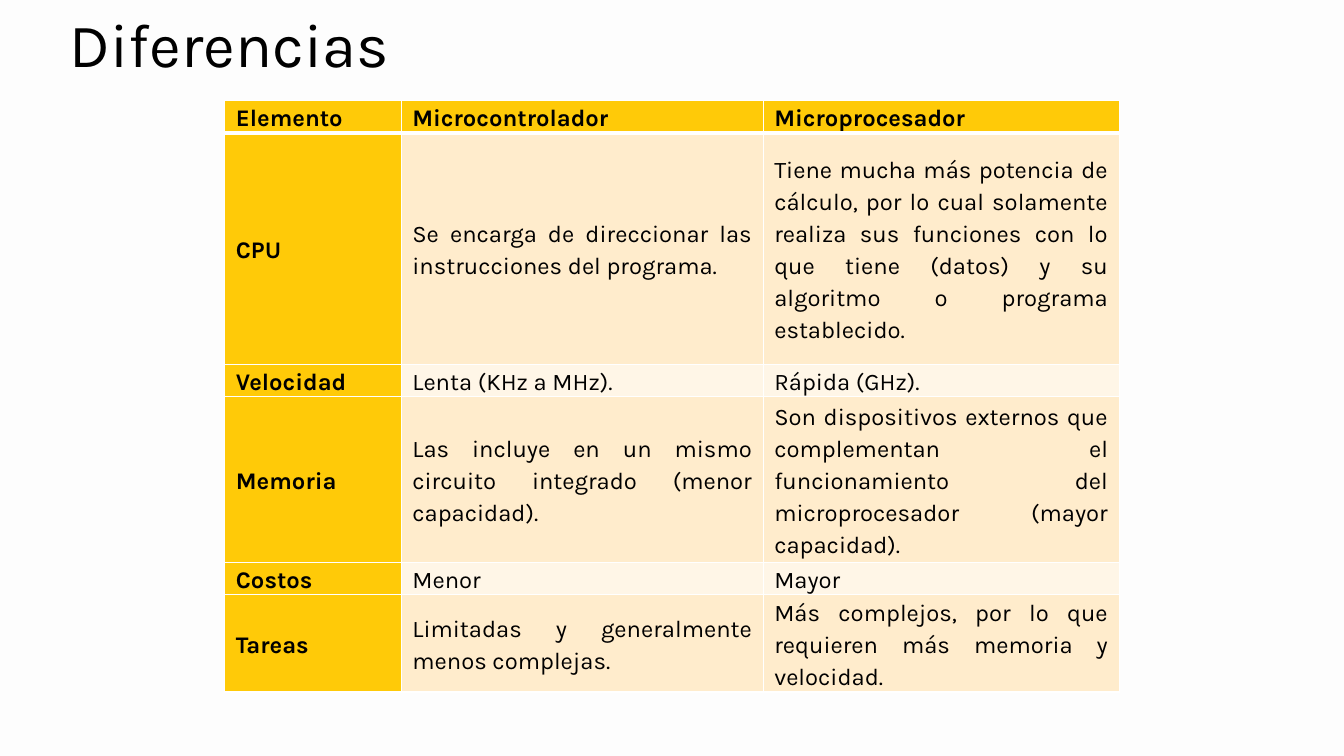
from lxml import etree
from pptx import Presentation
from pptx.dml.color import RGBColor
from pptx.enum.text import MSO_ANCHOR as ANCHOR, PP_ALIGN as ALIGN
from pptx.oxml.ns import qn
from pptx.util import Emu, Pt

PX = 9144  # 100 px to the inch
FONT = "Karla"
BLACK, WHITE, PAGE = "000000", "FFFFFF", "FDFDFD"
GOLD, BAND_DARK, BAND_LIGHT = "FFCA08", "FFECCC", "FFF6E7"

COLS = [175, 359, 353]
ROWS = [
    (30, "Elemento", "Microcontrolador", "Microprocesador"),
    (230, "CPU",
     "Se encarga de direccionar las instrucciones del programa.",
     "Tiene mucha más potencia de cálculo, por lo cual solamente realiza sus "
     "funciones con lo que tiene (datos) y su algoritmo o programa establecido."),
    (30, "Velocidad", "Lenta (KHz a MHz).", "Rápida (GHz)."),
    (164, "Memoria",
     "Las incluye en un mismo circuito integrado (menor capacidad).",
     "Son dispositivos externos que complementan el funcionamiento del "
     "microprocesador (mayor capacidad)."),
    (30, "Costos", "Menor", "Mayor"),
    (97, "Tareas", "Limitadas y generalmente menos complejas.",
     "Más complejos, por lo que requieren más memoria y velocidad."),
]


def px(n):
    return Emu(n * PX)


def rgb(color):
    return RGBColor.from_string(color)


def add_text(tf, text, size, bold=False, align=ALIGN.LEFT, spacing=1.0):
    p = tf.paragraphs[0]
    p.alignment, p.line_spacing = align, spacing
    r = p.add_run()
    r.text = text
    r.font.name, r.font.size, r.font.bold = FONT, Pt(size), bold
    r.font.color.rgb = rgb(BLACK)


def add_borders(cell, bottom):
    tc_pr = cell._tc.get_or_add_tcPr()
    for side, width in (("L", 1), ("R", 1), ("T", 1), ("B", bottom)):
        ln = etree.SubElement(tc_pr, qn(f"a:ln{side}"), w=str(Pt(width)))
        fill = etree.SubElement(ln, qn("a:solidFill"))
        etree.SubElement(fill, qn("a:srgbClr"), val=WHITE)


def add_title(s, x, y, w, h, text):
    sp = s.shapes.title
    sp.left, sp.top, sp.width, sp.height = px(x), px(y), px(w), px(h)
    tf = sp.text_frame
    tf.word_wrap = True
    tf.vertical_anchor = ANCHOR.MIDDLE
    add_text(tf, text, 44, spacing=0.9)


def add_comparison(s, x, y):
    width, height = sum(COLS), sum(row[0] for row in ROWS)
    table = s.shapes.add_table(len(ROWS), len(COLS), px(x), px(y),
                               px(width), px(height)).table
    for col, w in zip(table.columns, COLS):
        col.width = px(w)
    for i, (h, *texts) in enumerate(ROWS):
        table.rows[i].height = px(h)
        band = BAND_DARK if i % 2 else BAND_LIGHT
        for j, text in enumerate(texts):
            heading = i == 0 or j == 0
            cell = table.cell(i, j)
            cell.margin_left = cell.margin_right = px(11)
            cell.margin_top = cell.margin_bottom = 0
            cell.vertical_anchor = ANCHOR.MIDDLE
            # Borders come before the fill in the cell properties
            add_borders(cell, 3 if i == 0 else 1)
            cell.fill.solid()
            cell.fill.fore_color.rgb = rgb(GOLD if heading else band)
            add_text(cell.text_frame, text, 17, heading, ALIGN.JUSTIFY, 1.15)


def main():
    prs = Presentation()
    prs.slide_width, prs.slide_height = px(1333), px(750)
    s = prs.slides.add_slide(prs.slide_layouts[5])
    s.background.fill.solid()
    s.background.fill.fore_color.rgb = rgb(PAGE)
    # Title and comparison table
    add_title(s, 59, 5, 1215, 84, "Diferencias")
    add_comparison(s, 223, 100)
    prs.save("out.pptx")


if __name__ == "__main__":
    main()
